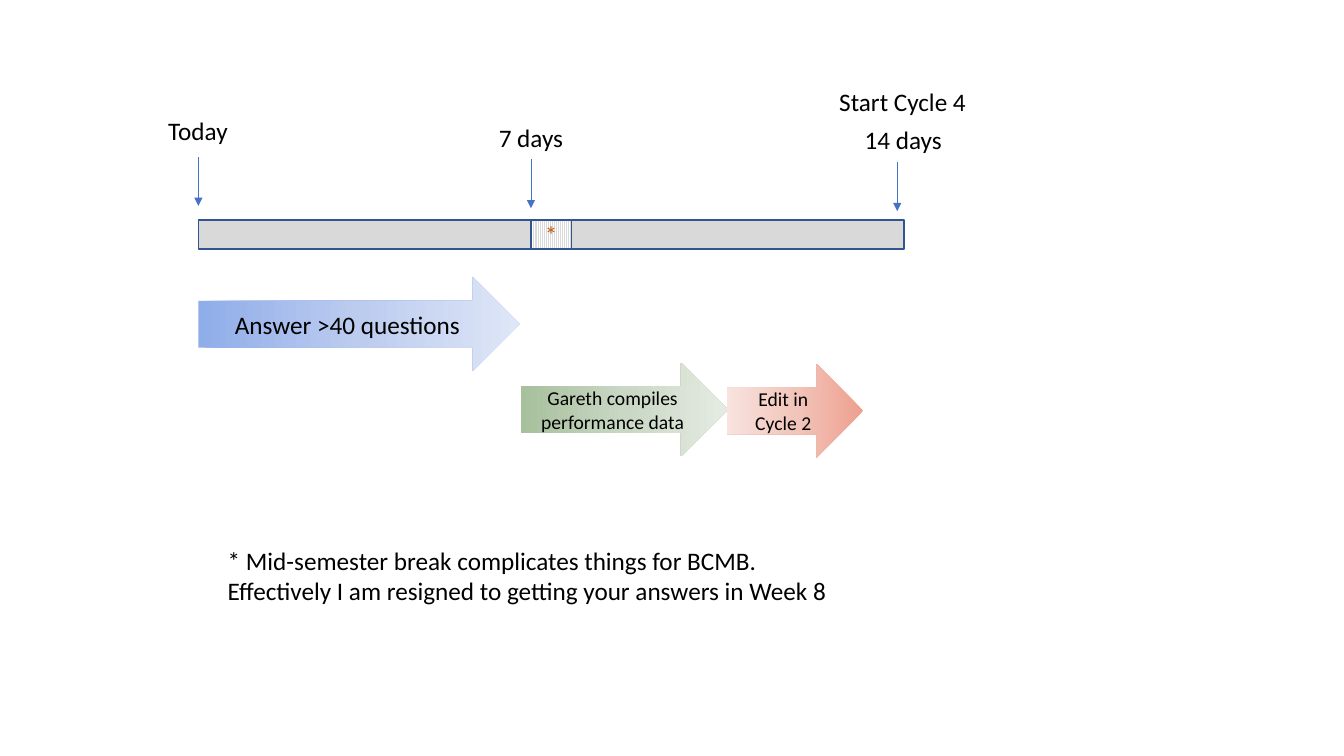
from copy import deepcopy
from dataclasses import dataclass

from lxml.etree import SubElement
from pptx import Presentation
from pptx.dml.color import RGBColor
from pptx.enum.dml import MSO_PATTERN
from pptx.enum.shapes import MSO_CONNECTOR, MSO_SHAPE
from pptx.enum.text import MSO_ANCHOR, MSO_AUTO_SIZE, PP_ALIGN
from pptx.oxml.ns import qn
from pptx.shapes.autoshape import Shape
from pptx.slide import Slide
from pptx.text.text import TextFrame
from pptx.util import Cm, Pt

COLORS = {
    "text": "000000",
    "week": "D9D9D9",
    "background": "FFFFFF",
    "outline": "325491",
    "marker": "4472C4",
    "asterisk": "C55A11",
}
GRADIENTS = {
    "blue": ("8FADE9", "BCCCEF", "DEE6F7"),
    "green": ("A7C09D", "C9D7C4", "E5EBE2"),
    "red": ("EDA08E", "F2C5BB", "F8E3DE"),
}
BAR_LEFT, BAR_TOP, BAR_HEIGHT = 5.0, 5.54, 0.74
WEEK_WIDTH, BREAK_WIDTH = 8.38, 1.02
BREAK_LEFT = BAR_LEFT + WEEK_WIDTH
SECOND_WEEK_LEFT = BREAK_LEFT + BREAK_WIDTH
MARKER_LENGTH = 1.23
TASK_HEIGHT = 2.36


@dataclass(frozen=True)
class Label:
    lines: tuple[str, ...]
    left: float
    top: float
    width: float
    height: float = 1.02


@dataclass(frozen=True)
class Marker:
    x: float
    top: float


@dataclass(frozen=True)
class Task:
    text: str
    left: float
    top: float
    width: float
    gradient: str
    size: int = 14
    angle: int = 0


LABELS = (
    Label(("Today",), 3.99, 2.77, 2.03),
    Label(("7 days",), 12.32, 2.95, 2.16),
    Label(("14 days",), 21.54, 3.0, 2.49),
    Label(("Start Cycle 4",), 20.9, 2.06, 3.73),
    Label(
        (
            "* Mid-semester break complicates things for BCMB.",
            "Effectively I am resigned to getting your answers in Week 8",
        ),
        5.49, 13.61, 15.8, 1.8,
    ),
)
MARKERS = (Marker(BAR_LEFT, 3.96), Marker(BREAK_LEFT, 4.02), Marker(22.61, 4.09))
TASKS = (
    Task("Answer >40 questions", BAR_LEFT, 6.99, 8.1, "blue", size=18),
    Task("Gareth compiles performance data", 13.13, 9.14, 5.21, "green"),
    Task("Edit in Cycle 2", 18.31, 9.17, 3.45, "red", angle=180),
)


def color(name: str) -> RGBColor:
    return RGBColor.from_string(COLORS[name])


def write_text(
    frame: TextFrame,
    lines: tuple[str, ...],
    frame_format: dict,
    alignment: PP_ALIGN,
    size: int = 18,
    color_name: str = "text",
) -> None:
    for name, value in frame_format.items():
        setattr(frame, name, value)
    frame.text = "\n".join(lines)
    font_format = {"name": "Calibri", "size": Pt(size)}
    for paragraph in frame.paragraphs:
        paragraph.alignment = alignment
        font = paragraph.runs[0].font
        for name, value in font_format.items():
            setattr(font, name, value)
        font.color.rgb = color(color_name)


def write_centred(shape: Shape, text: str, size: int, color_name: str) -> None:
    frame_format = {"word_wrap": True, "vertical_anchor": MSO_ANCHOR.MIDDLE}
    write_text(shape.text_frame, (text,), frame_format, PP_ALIGN.CENTER, size, color_name)


def add_bar_section(slide: Slide, left: float, width: float) -> Shape:
    shape = slide.shapes.add_shape(
        MSO_SHAPE.RECTANGLE, Cm(left), Cm(BAR_TOP), Cm(width), Cm(BAR_HEIGHT)
    )
    shape.shadow.inherit = False
    shape.fill.solid()
    shape.fill.fore_color.rgb = color("week")
    shape.line.color.rgb = color("outline")
    shape.line.width = Pt(1)
    return shape


def add_break(slide: Slide) -> None:
    """Draw the hatched mid-semester break between the two weeks."""
    shape = add_bar_section(slide, BREAK_LEFT, BREAK_WIDTH)
    shape.fill.patterned()
    shape.fill.pattern = MSO_PATTERN.LIGHT_VERTICAL
    shape.fill.fore_color.rgb = color("week")
    shape.fill.back_color.rgb = color("background")
    write_centred(shape, "*", 18, "asterisk")


def add_label(slide: Slide, label: Label) -> None:
    box = slide.shapes.add_textbox(
        Cm(label.left), Cm(label.top), Cm(label.width), Cm(label.height)
    )
    frame_format = {"word_wrap": False, "auto_size": MSO_AUTO_SIZE.SHAPE_TO_FIT_TEXT}
    write_text(box.text_frame, label.lines, frame_format, PP_ALIGN.LEFT)


def add_marker(slide: Slide, marker: Marker) -> None:
    connector = slide.shapes.add_connector(
        MSO_CONNECTOR.STRAIGHT,
        Cm(marker.x), Cm(marker.top), Cm(marker.x), Cm(marker.top + MARKER_LENGTH),
    )
    connector.line.color.rgb = color("marker")
    connector.line.width = Pt(0.5)
    SubElement(connector.line._get_or_add_ln(), qn("a:tailEnd"), type="triangle")
    SubElement(connector._element.spPr, qn("a:effectLst"))


def apply_gradient(shape: Shape, hex_colors: tuple[str, ...], angle: int) -> None:
    """Fill with three evenly spaced colour stops."""
    shape.fill.gradient()
    shape.fill.gradient_angle = angle
    stop_list = shape._element.spPr.find(qn("a:gradFill")).find(qn("a:gsLst"))
    stop_list.append(deepcopy(stop_list[0]))
    for index, (stop, hex_color) in enumerate(zip(shape.fill.gradient_stops, hex_colors)):
        stop.position = index / 2
        stop.color.rgb = RGBColor.from_string(hex_color)


def add_task(slide: Slide, task: Task) -> None:
    shape = slide.shapes.add_shape(
        MSO_SHAPE.RIGHT_ARROW, Cm(task.left), Cm(task.top), Cm(task.width), Cm(TASK_HEIGHT)
    )
    shape.shadow.inherit = False
    shape.line.fill.background()
    apply_gradient(shape, GRADIENTS[task.gradient], task.angle)
    write_centred(shape, task.text, task.size, "text")


def main() -> None:
    presentation = Presentation()
    presentation.slide_width, presentation.slide_height = Cm(33.87), Cm(19.05)
    slide = presentation.slides.add_slide(presentation.slide_layouts[6])
    for left in (BAR_LEFT, SECOND_WEEK_LEFT):
        add_bar_section(slide, left, WEEK_WIDTH)
    for marker in MARKERS:
        add_marker(slide, marker)
    for task in TASKS:
        add_task(slide, task)
    for label in LABELS:
        add_label(slide, label)
    add_break(slide)
    presentation.save("out.pptx")


if __name__ == "__main__":
    main()
